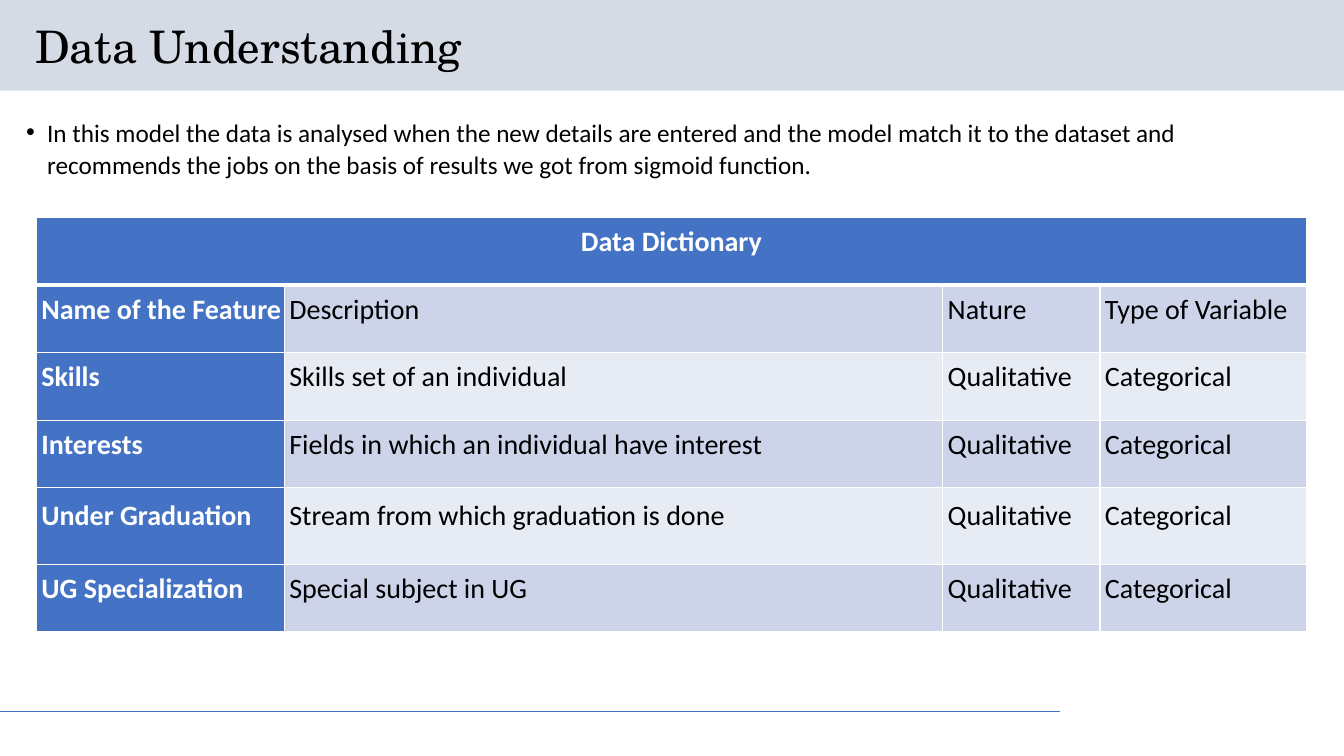
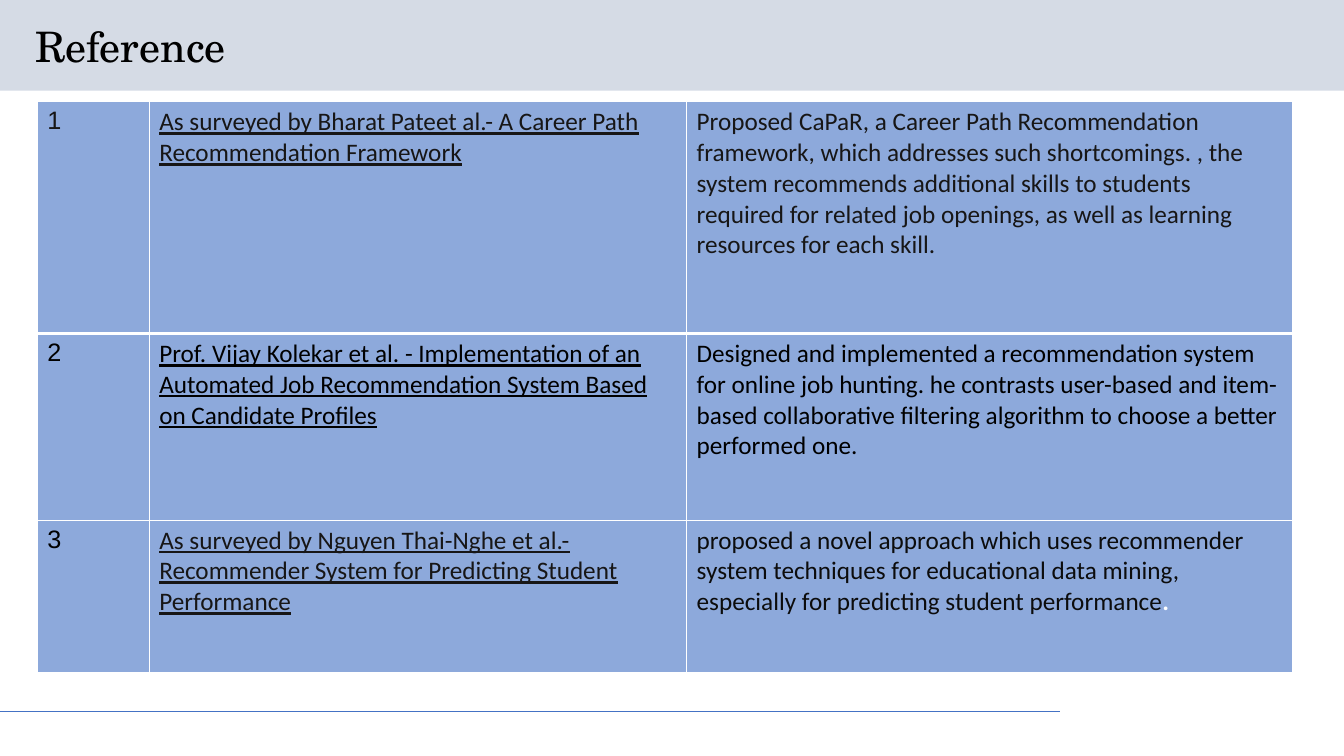
"""Build the data dictionary and reference slides."""
from dataclasses import dataclass, field

from lxml import etree
from pptx import Presentation
from pptx import util as u
from pptx.dml.color import RGBColor
from pptx.enum import shapes, text
from pptx.oxml.ns import qn

WHITE, BLACK, INK, SOFT_INK = "FFFFFF", "000000", "171616", "0C0C0C"
BAND, BLUE, PALE_DARK, PALE_LIGHT, SKY = "D5DBE5", "4472C4", "CDD4EA", "E7EBF4", "8DA9DB"
TITLE_FONT, BODY_FONT, NUMBER_FONT = "TeX Gyre Schola", "Calibri", "Arial"


@dataclass
class Cell:
    """Text, format and fill of one table cell."""
    text: str
    fill: str
    form: dict = field(default_factory=dict)
    top: float = 0.01
    side: float = 0
    bottom: float = 0
    tail: str = ""


@dataclass
class Reference:
    """One cited work with its summary and text colours."""
    source: str
    summary: str
    number_color: str = BLACK
    source_color: str = BLACK
    summary_color: str = BLACK
    tail: str = ""


FEATURES = [
    ("Name of the Feature", "Description", "Nature", "Type of Variable"),
    ("Skills", "Skills set of an individual", "Qualitative", "Categorical"),
    ("Interests", "Fields in which an individual have interest", "Qualitative", "Categorical"),
    ("Under Graduation", "Stream from which graduation is done", "Qualitative", "Categorical"),
    ("UG Specialization", "Special subject in UG", "Qualitative", "Categorical"),
]
REFERENCES = [
    Reference(
        "As surveyed by Bharat Pateet al.- A Career Path Recommendation Framework",
        "Proposed CaPaR, a Career Path Recommendation framework, which addresses such "
        "shortcomings. , the system recommends additional skills to students required for "
        "related job openings, as well as learning resources for each skill.",
        INK, INK, INK),
    Reference(
        "Prof. Vijay Kolekar et al. - Implementation of an Automated Job Recommendation "
        "System Based on Candidate Profiles",
        "Designed and implemented a recommendation system for online job hunting. he "
        "contrasts user-based and item-based collaborative filtering algorithm to choose "
        "a better performed one."),
    Reference(
        "As surveyed by Nguyen Thai-Nghe et al.- Recommender System for Predicting "
        "Student Performance",
        "proposed a novel approach which uses recommender system techniques for "
        "educational data mining, especially for predicting student performance",
        BLACK, INK, SOFT_INK, "."),
]


def rgb(color: str) -> RGBColor:
    """Turn a hex string into a colour."""
    return RGBColor.from_string(color)


def write(para, words: str, *, size: float = 18, font: str = BODY_FONT, color: str = BLACK,
          bold: bool = False, underline: bool = False, spacing: float = 1.0,
          align=text.PP_ALIGN.LEFT, margin: float = 0, indent: float = 0,
          bullet: str = "") -> None:
    """Add a formatted span to a paragraph."""
    props = para._p.get_or_add_pPr()
    props.set("marL", str(u.Inches(margin)))
    props.set("indent", str(u.Inches(indent)))
    if bullet:
        etree.SubElement(props, qn("a:buFont"), typeface=NUMBER_FONT)
        etree.SubElement(props, qn("a:buChar"), char=bullet)
    para.line_spacing = spacing
    para.alignment = align
    span = para.add_run()
    span.text = words
    span.font.size = u.Pt(size)
    span.font.name = font
    span.font.bold = bold
    span.font.underline = underline
    span.font.color.rgb = rgb(color)


def add_text(page, left: float, top: float, width: float, height: float, words: str,
             anchor=text.MSO_ANCHOR.TOP, **form) -> None:
    """Add a wrapping text box with one paragraph."""
    box = page.shapes.add_textbox(*map(u.Inches, (left, top, width, height)))
    box.text_frame.word_wrap = True
    box.text_frame.vertical_anchor = anchor
    write(box.text_frame.paragraphs[0], words, **form)


def add_page(deck, title: str, title_size: float):
    """Add a slide with the title band, title and footer rule."""
    page = deck.slides.add_slide(deck.slide_layouts[6])
    band = page.shapes.add_shape(shapes.MSO_SHAPE.RECTANGLE, 0, 0, deck.slide_width, u.Inches(0.9))
    band.shadow.inherit = False
    band.fill.solid()
    band.fill.fore_color.rgb = rgb(BAND)
    band.line.fill.background()
    rule = page.shapes.add_connector(shapes.MSO_CONNECTOR.STRAIGHT, 0, u.Inches(7.06),
                                     u.Inches(10.51), u.Inches(7.06))
    rule.line.color.rgb = rgb(BLUE)
    rule.line.width = u.Pt(0.75)
    etree.SubElement(rule._element.spPr, qn("a:effectLst"))
    add_text(page, 0.25, 0.19, 11.5, 0.59, title, anchor=text.MSO_ANCHOR.MIDDLE,
             size=title_size, font=TITLE_FONT, spacing=0.9)
    return page


def add_borders(cell, top: float, bottom: float) -> None:
    """Draw white borders around a cell, with widths in points."""
    props = cell._tc.get_or_add_tcPr()
    for side, width in (("L", 1), ("R", 1), ("T", top), ("B", bottom)):
        line = etree.SubElement(props, qn(f"a:ln{side}"), w=str(u.Pt(width)))
        fill = etree.SubElement(line, qn("a:solidFill"))
        etree.SubElement(fill, qn("a:srgbClr"), val=WHITE)


def add_table(page, left: float, top: float, widths: list[float], heights: list[float],
              rows: list[list[Cell]]):
    """Add a table whose first row is closed by a thick border."""
    frame = page.shapes.add_table(len(heights), len(widths), u.Inches(left), u.Inches(top),
                                  u.Inches(sum(widths)), u.Inches(sum(heights)))
    table = frame.table
    table.first_row = table.horz_banding = False
    for column, width in zip(table.columns, widths):
        column.width = u.Inches(width)
    for row_index, (height, row) in enumerate(zip(heights, rows)):
        table.rows[row_index].height = u.Inches(height)
        for column_index, content in enumerate(row):
            cell = table.cell(row_index, column_index)
            cell.margin_left = cell.margin_right = u.Inches(content.side)
            cell.margin_top = u.Inches(content.top)
            cell.margin_bottom = u.Inches(content.bottom)
            add_borders(cell, 3 if row_index == 1 else 1, 3 if row_index == 0 else 1)
            cell.fill.solid()
            cell.fill.fore_color.rgb = rgb(content.fill)
            para = cell.text_frame.paragraphs[0]
            if content.text:
                write(para, content.text, **content.form)
            if content.tail:
                write(para, content.tail, color=WHITE, bold=True)
    return table


def feature_row(index: int, values: tuple[str, ...]) -> list[Cell]:
    """Format one banded row with a blue name cell."""
    base = {"size": 20, "spacing": 1.19, "margin": 0.05}
    top = 0.05 if values[0] == "Under Graduation" else 0.01
    pale = PALE_LIGHT if index % 2 else PALE_DARK
    name = Cell(values[0], BLUE, base | {"color": WHITE, "bold": True}, top)
    return [name] + [Cell(value, pale, base, top) for value in values[1:]]


def reference_row(number: int, reference: Reference) -> list[Cell]:
    """Format one reference as number, source and summary."""
    insets = {"top": 0.05, "side": 0.1, "bottom": 0.05}
    return [
        Cell(str(number), SKY, {"font": NUMBER_FONT, "color": reference.number_color}, **insets),
        Cell(reference.source, SKY, {"color": reference.source_color, "underline": True}, **insets),
        Cell(reference.summary, SKY, {"color": reference.summary_color},
             tail=reference.tail, **insets),
    ]


def build_dictionary(deck) -> None:
    """Build the data understanding slide."""
    page = add_page(deck, "Data Understanding", 32)
    add_text(page, 0.15, 1.09, 12.34, 0.75,
             "In this model the data is analysed when the new details are entered and the model "
             "match it to the dataset and recommends the jobs on the basis of results we got "
             "from sigmoid function.",
             spacing=1.07, margin=0.22, indent=-0.21, bullet="•")
    heading = Cell("Data Dictionary", BLUE, {"size": 20, "color": WHITE, "bold": True,
                                             "spacing": 1.19, "align": text.PP_ALIGN.CENTER})
    rows = [[heading] + [Cell("", BLUE)] * 3]
    rows += [feature_row(index, values) for index, values in enumerate(FEATURES)]
    table = add_table(page, 0.36, 2.16, [2.46, 6.53, 1.56, 2.05],
                      [0.67] * 4 + [0.76, 0.67], rows)
    table.cell(0, 0).merge(table.cell(0, 3))


def build_references(deck) -> None:
    """Build the reference slide."""
    page = add_page(deck, "Reference", 30)
    rows = [reference_row(number, item) for number, item in enumerate(REFERENCES, 1)]
    add_table(page, 0.37, 1.01, [1.11, 5.33, 6.01], [2.3, 1.85, 1.51], rows)


def main() -> None:
    """Build and save the deck."""
    deck = Presentation()
    deck.slide_width, deck.slide_height = u.Inches(13.33), u.Inches(7.5)
    build_dictionary(deck)
    build_references(deck)
    deck.save("out.pptx")


if __name__ == "__main__":
    main()
